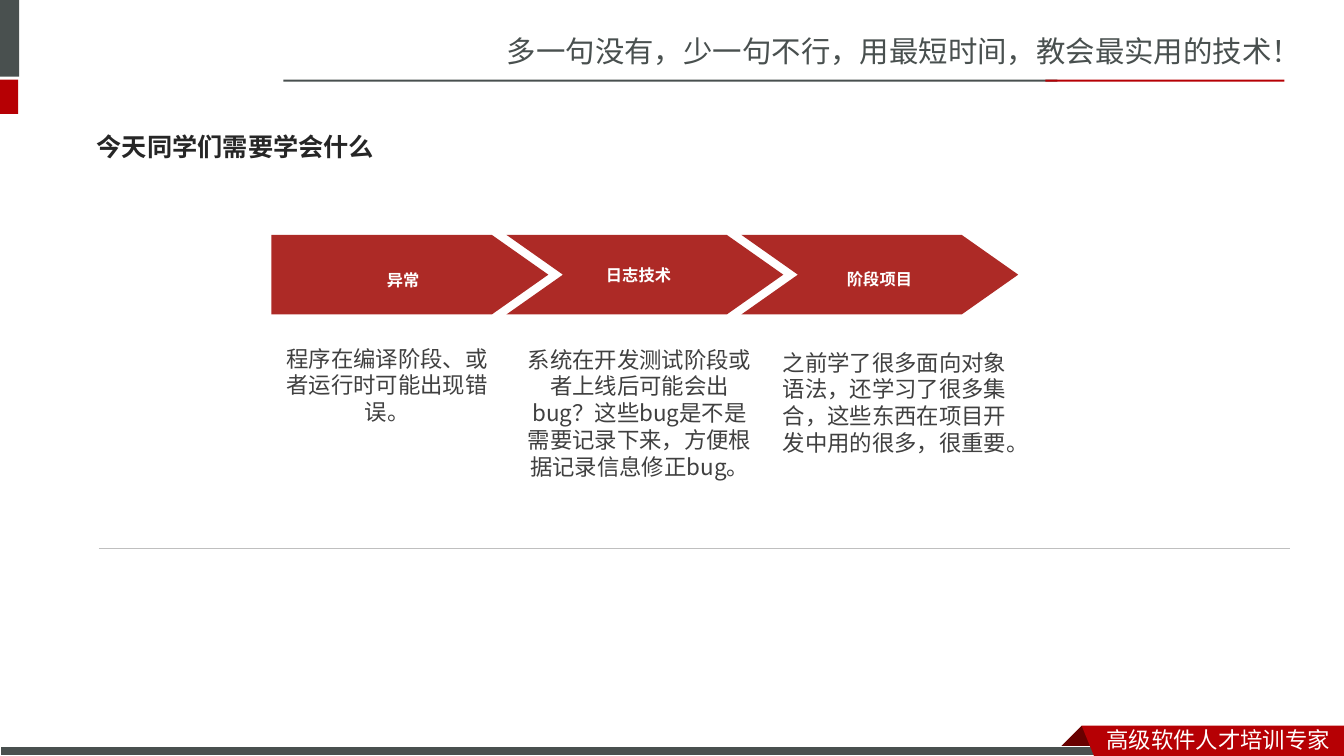
import pptx
import pptx.util
import pptx.dml.color
import pptx.enum.shapes
import pptx.enum.text
import pptx.oxml.ns
from lxml import etree

Pt = pptx.util.Pt
RGBColor = pptx.dml.color.RGBColor
MSO_SHAPE = pptx.enum.shapes.MSO_SHAPE
ALIGN = pptx.enum.text.PP_ALIGN
ANCHOR = pptx.enum.text.MSO_ANCHOR
AUTO = pptx.enum.text.MSO_AUTO_SIZE
qn = pptx.oxml.ns.qn

W, H = pptx.util.Inches(13.33), pptx.util.Inches(7.5)

GREY = RGBColor(0x49, 0x50, 0x4F)
RED = RGBColor(0xB6, 0x00, 0x04)
DARK_RED = RGBColor(0x68, 0x00, 0x00)
ARROW_RED = RGBColor(0xAD, 0x2A, 0x26)
WHITE = RGBColor(0xFF, 0xFF, 0xFF)
RULE_GREY = RGBColor(0xBF, 0xBF, 0xBF)
BODY_GREY = RGBColor(0x40, 0x40, 0x40)
INK = RGBColor(0x26, 0x26, 0x26)

SC, JP, MONO = "Noto Sans CJK SC", "Noto Sans CJK JP", "DejaVu Sans Mono"
SLOGAN = {"name": SC, "size": Pt(21), "color": GREY}
FOOTER = {"name": SC, "size": Pt(16), "color": WHITE}
HEADING = {"name": MONO, "size": Pt(18), "color": INK, "bold": True}
LABEL = {"name": JP, "size": Pt(20), "color": WHITE, "bold": True}
BODY = {"name": JP, "size": Pt(16), "color": BODY_GREY}

ARROW_LEFT, ARROW_PITCH = 20.2, 17.48
STEPS = [
    (MSO_SHAPE.PENTAGON, "异常", (20.18, 34.13, 19.65, 4.4), 1.0,
     "程序在编译阶段、或者运行时可能出现错误。", (20.48, 44.93, 16.65, 14)),
    (MSO_SHAPE.CHEVRON, "日志技术", (34.5, 33.47, 26.03, 4.4), 1.0,
     "系统在开发测试阶段或者上线后可能会出bug？这些bug是不是需要记录下来，方便根据记录信息修正bug。",
     (38.33, 45.07, 18.53, 22.67)),
    (MSO_SHAPE.CHEVRON, "阶段项目", (52.43, 33.33, 26.03, 4.8), 1.2,
     "之前学了很多面向对象语法，还学习了很多集合，这些东西在项目开发中用的很多，很重要。",
     (57.08, 45.47, 18.98, 18.4)),
]


def share(x, y):
    return round(W * x / 100), round(H * y / 100)


def box(x, y, w, h):
    return share(x, y) + share(w, h)


def paint(sp, fill, line=None):
    sp.shadow.inherit = False
    sp.fill.solid()
    sp.fill.fore_color.rgb = fill
    if line is None:
        sp.line.fill.background()
    else:
        sp.line.color.rgb = line
        sp.line.width = Pt(0.75)


def add_block(slide, area, fill, kind=MSO_SHAPE.RECTANGLE, line=None):
    sp = slide.shapes.add_shape(kind, *box(*area))
    paint(sp, fill, line)
    return sp


def add_outline(slide, points, fill):
    start, *rest = [share(*point) for point in points]
    builder = slide.shapes.build_freeform(*start, scale=1.0)
    builder.add_line_segments(rest, close=True)
    paint(builder.convert_to_shape(), fill)


def add_rule(slide, x1, x2, y):
    line = slide.shapes.add_connector(
        pptx.enum.shapes.MSO_CONNECTOR.STRAIGHT, *share(x1, y), *share(x2, y))
    line.line.color.rgb = RULE_GREY
    line.line.width = Pt(0.25)
    etree.SubElement(line._element.spPr, qn("a:effectLst"))


def write(tf, text, style, frame, para):
    for key, value in {"word_wrap": True, **frame}.items():
        setattr(tf, key, value)
    p = tf.paragraphs[0]
    for key, value in para.items():
        setattr(p, key, value)
    r = p.add_run()
    r.text = text
    for key, value in style.items():
        if key == "color":
            r.font.color.rgb = value
        else:
            setattr(r.font, key, value)
    east = SC if style["name"] == MONO else style["name"]
    etree.SubElement(r._r.get_or_add_rPr(), qn("a:ea"), typeface=east)
    return r


def add_text(slide, area, text, style, anchor=ANCHOR.TOP, **para):
    tf = slide.shapes.add_textbox(*box(*area)).text_frame
    frame = {"vertical_anchor": anchor, "auto_size": AUTO.SHAPE_TO_FIT_TEXT}
    return write(tf, text, style, frame, para)


def add_title(slide, area, text):
    sp = slide.shapes.title
    for key, value in zip(("left", "top", "width", "height"), box(*area)):
        setattr(sp, key, value)
    write(sp.text_frame, text, HEADING,
          {"vertical_anchor": ANCHOR.MIDDLE, "auto_size": AUTO.NONE},
          {"alignment": ALIGN.LEFT})


def add_frame(slide):
    add_text(slide, (36.98, 3.73, 63.02, 6.27),
             "多一句没有，少一句不行，用最短时间，教会最实用的技术！", SLOGAN)
    add_block(slide, (0, 0, 1.43, 10.13), GREY)
    add_block(slide, (0, 10.53, 1.35, 4.53), RED)
    add_block(slide, (21.08, 10.53, 57.6, 0.27), GREY)
    add_block(slide, (77.78, 10.53, 17.78, 0.27), RED)
    add_outline(slide, [(80.48, 96), (82.13, 98.93), (82.05, 99.07),
                        (78.9, 99.07), (78.83, 98.93)], DARK_RED)
    add_block(slide, (0, 98.8, 82.43, 1.2), GREY, line=WHITE)
    add_outline(slide, [(80.48, 96), (100, 96), (100, 100), (81.4, 100)], RED)
    add_text(slide, (81.6, 95.33, 18.4, 4.93), "高级软件人才培训专家", FOOTER)


def add_step(slide, i, kind, label, label_area, spacing, body, body_area):
    left = ARROW_LEFT + ARROW_PITCH * i
    arrow = add_block(slide, (left, 31.07, 20.6, 10.53), ARROW_RED, kind)
    arrow.adjustments[0] = 0.71
    r = add_text(slide, label_area, label, LABEL, ANCHOR.MIDDLE,
                 alignment=ALIGN.CENTER, line_spacing=spacing)
    r.font._element.set("baseline", "-3000")
    add_text(slide, body_area, body, BODY,
             alignment=ALIGN.CENTER, line_spacing=1.0)


def main():
    prs = pptx.Presentation()
    prs.slide_width, prs.slide_height = W, H
    slide = prs.slides.add_slide(prs.slide_layouts[5])
    add_frame(slide)
    add_title(slide, (6.45, 15.6, 30.6, 7.6), "今天同学们需要学会什么")
    for i, step in enumerate(STEPS):
        add_step(slide, i, *step)
    add_rule(slide, 7.35, 96, 72.53)
    prs.save("out.pptx")


if __name__ == "__main__":
    main()
